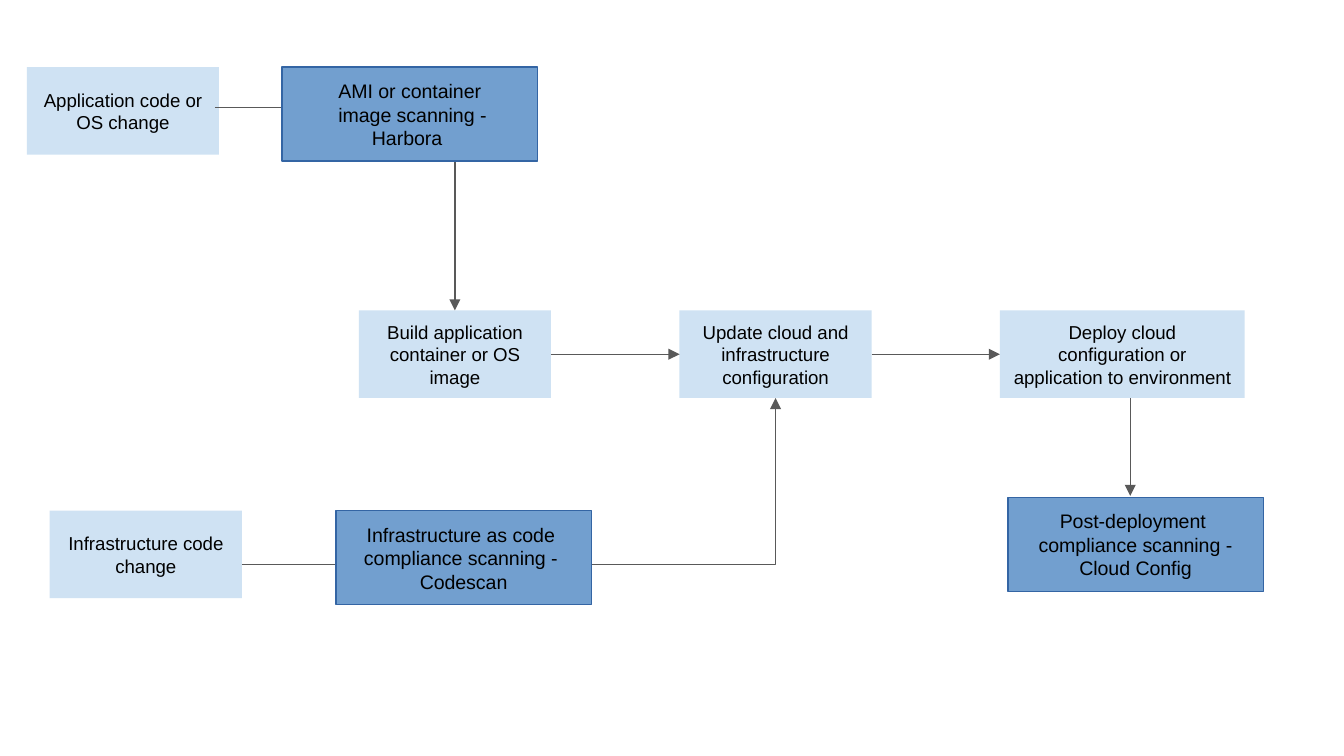
import pptx
import pptx.dml.color
import pptx.enum.shapes
import pptx.enum.text
import pptx.oxml
import pptx.oxml.ns
import pptx.util

# Widescreen slide, 16:9
presentation = pptx.Presentation()
presentation.slide_width = pptx.util.Inches(10)
presentation.slide_height = presentation.slide_width * 9 // 16
slide = presentation.slides.add_slide(presentation.slide_layouts[6])

# Square grid: 100 columns across the slide, rows of the same size
CELL = presentation.slide_width / 100


def paint(color_format, value):
    color_format.rgb = pptx.dml.color.RGBColor.from_string(value)


def add_box(left, top, width, height, lines, style):
    shape = slide.shapes.add_shape(
        pptx.enum.shapes.MSO_SHAPE.RECTANGLE,
        *(round(cells * CELL) for cells in (left, top, width, height)))
    shape.shadow.inherit = False
    shape.fill.solid()
    paint(shape.fill.fore_color, style["fill"])
    if style["outline"]:
        paint(shape.line.color, style["outline"])
        shape.line.width = pptx.util.Pt(0.75)
    else:
        shape.line.fill.background()
    frame = shape.text_frame
    frame.text = "\n".join(lines)
    for name, value in style["frame"].items():
        setattr(frame, name, value)
    for paragraph in frame.paragraphs:
        paragraph.alignment = pptx.enum.text.PP_ALIGN.CENTER
        for name, value in style["font"].items():
            setattr(paragraph.runs[0].font, name, value)
        paint(paragraph.runs[0].font.color, "000000")
    return shape


middle = pptx.enum.text.MSO_ANCHOR.MIDDLE
inset = round(CELL)
step_style = {
    "fill": "CFE2F3", "outline": None,
    "frame": {"word_wrap": True, "vertical_anchor": middle, "margin_left": inset,
              "margin_right": inset, "margin_top": inset, "margin_bottom": inset},
    "font": {"name": "Arial", "size": pptx.util.Pt(10)},
}
scan_style = {
    "fill": "729FCF", "outline": "3465A4",
    "frame": {"word_wrap": False, "vertical_anchor": middle},
    "font": {"name": "Arial", "size": pptx.util.Pt(10.5)},
}

# Pipeline steps: left, top, width, text
steps = {
    "build": (26.7, 23.1, 14.3, "Build application container or OS image"),
    "deploy": (74.4, 23.1, 18.2, "Deploy cloud configuration or application to environment"),
    "update": (50.56, 23.1, 14.3, "Update cloud and infrastructure configuration"),
    "application": (2, 5, 14.3, "Application code or OS change"),
    "infrastructure": (3.7, 38, 14.3, "Infrastructure code change"),
}
boxes = {name: add_box(left, top, width, 6.52, [text], step_style)
         for name, (left, top, width, text) in steps.items()}

# Arrows: preset, start, end, joined start and joined end (box, side)
arrows = [
    ("bentConnector2", (16, 8), (33.8, 23.1), None, ("build", 0)),
    ("bentConnector2", (18, 42), (57.7, 29.6), None, ("update", 2)),
    ("line", (41, 26.4), (50.6, 26.4), ("build", 3), ("update", 1)),
    ("line", (64.9, 26.4), (74.4, 26.4), ("update", 3), ("deploy", 1)),
    ("line", (84.1, 29.6), (84.1, 36.9), None, None),
]
for preset, start, end, start_joint, end_joint in arrows:
    bent = preset != "line"
    kind = pptx.enum.shapes.MSO_CONNECTOR
    connector = slide.shapes.add_connector(
        kind.ELBOW if bent else kind.STRAIGHT,
        *(round(cells * CELL) for cells in start + end))
    if start_joint:
        connector.begin_connect(boxes[start_joint[0]], start_joint[1])
    if end_joint:
        connector.end_connect(boxes[end_joint[0]], end_joint[1])
    paint(connector.line.color, "595959")
    connector.line.width = pptx.util.Pt(0.75)
    properties = connector.element.spPr
    if bent:
        properties.find(pptx.oxml.ns.qn("a:prstGeom")).set("prst", preset)
    line = properties.find(pptx.oxml.ns.qn("a:ln"))
    line.append(pptx.oxml.parse_xml(
        f'<a:tailEnd {pptx.oxml.ns.nsdecls("a")} type="triangle"/>'))
    properties.append(pptx.oxml.parse_xml(
        f'<a:effectLst {pptx.oxml.ns.nsdecls("a")}/>'))

# Scanning stages, laid over the arrows: left, top, lines of text
scans = [
    (25, 38, ["Infrastructure as code ", "compliance scanning - ", "Codescan"]),
    (21, 5, ["AMI or container", " image scanning -", "Harbora "]),
    (75, 37, ["Post-deployment ", "compliance scanning -", "Cloud Config"]),
]
for left, top, lines in scans:
    add_box(left, top, 19, 7, lines, scan_style)

presentation.save("out.pptx")
